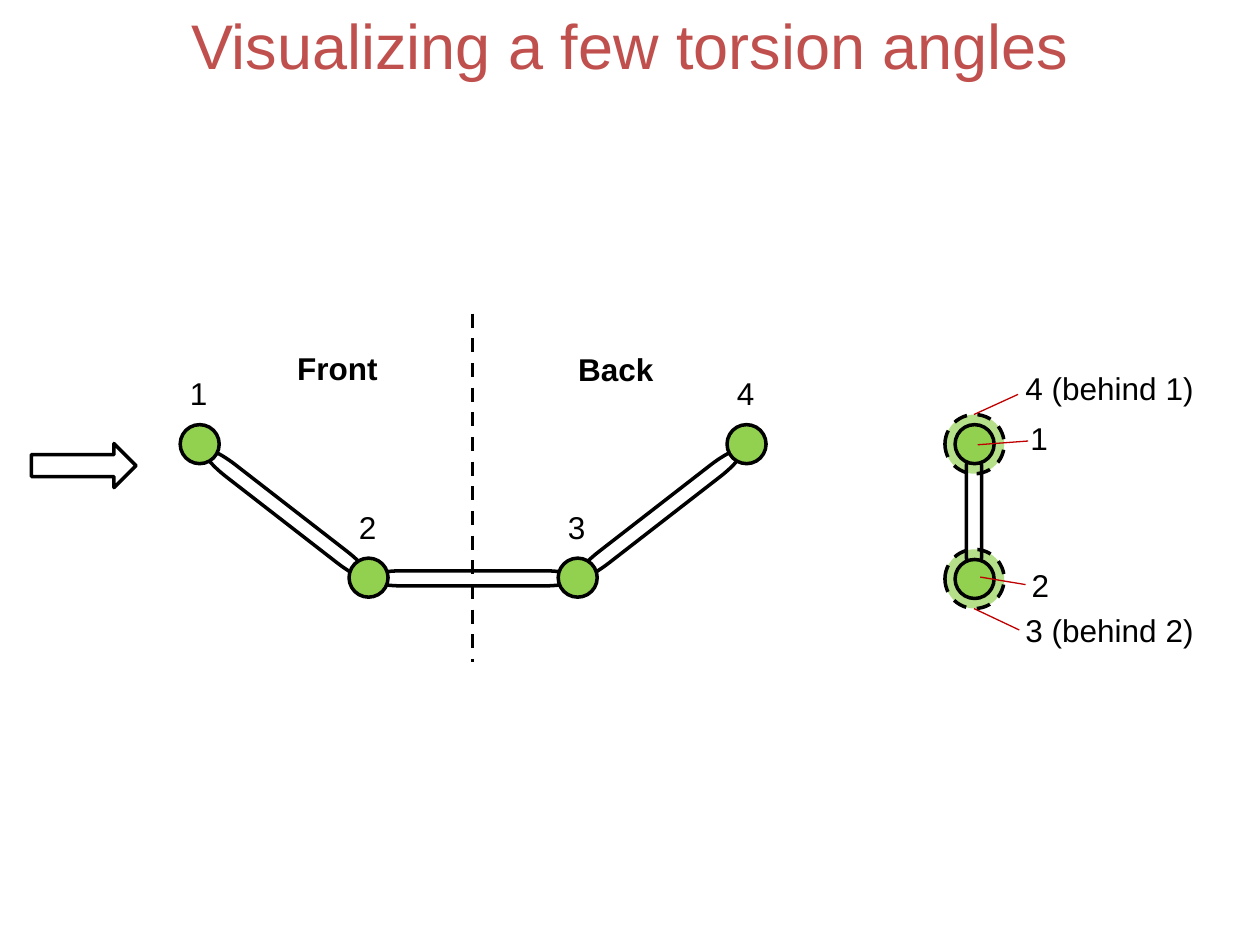
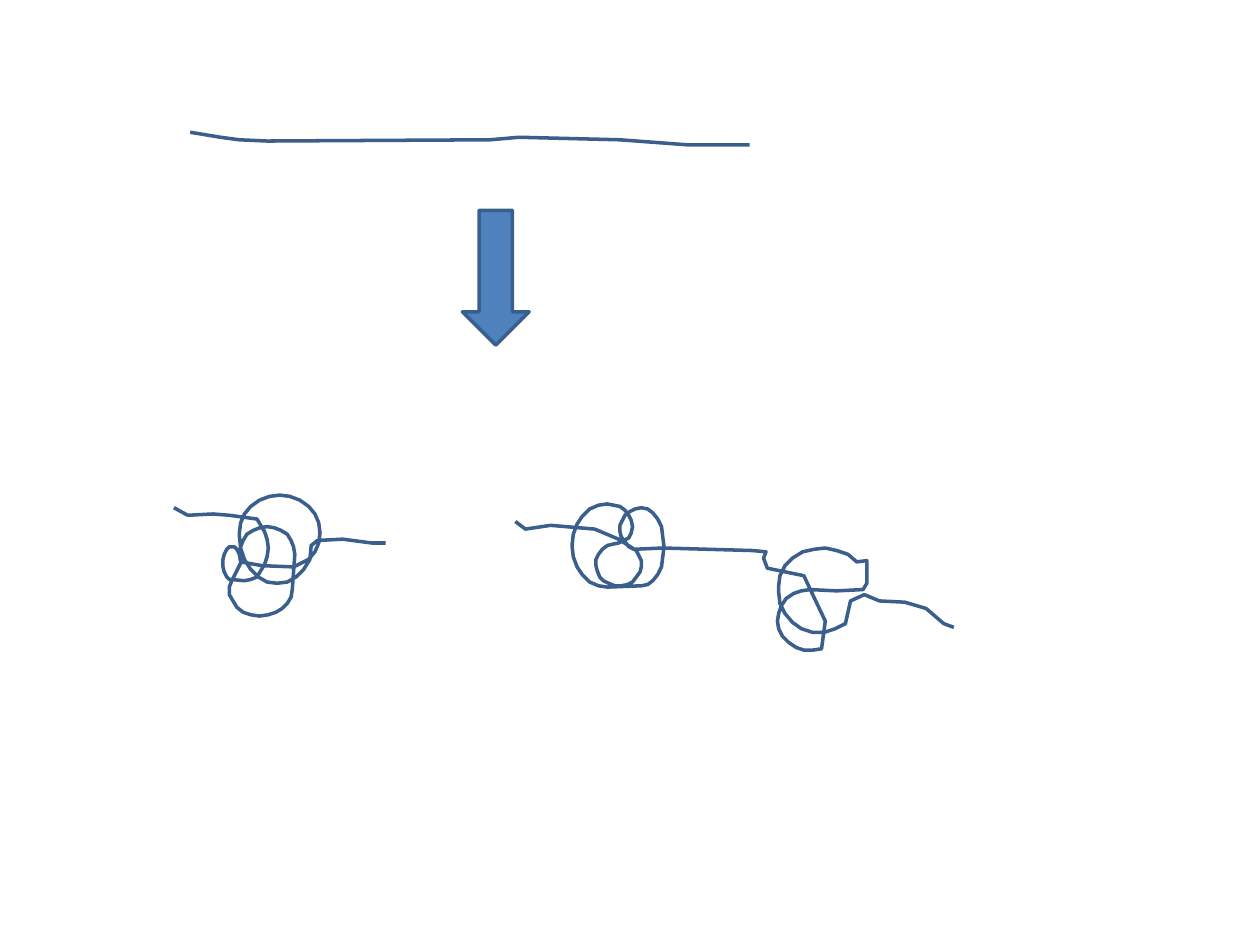
"""Build two slides: torsion angles seen from the side and end-on, and a folding chain."""
from math import cos, radians, sin
from lxml import etree
from pptx import Presentation
from pptx.dml.color import RGBColor
from pptx.enum.dml import MSO_LINE
from pptx.enum.shapes import MSO_CONNECTOR, MSO_SHAPE
from pptx.enum.text import MSO_ANCHOR, MSO_AUTO_SIZE, PP_ALIGN
from pptx.oxml.ns import qn
from pptx.util import Pt

SCALE = 9144
DASH = MSO_LINE.DASH
ROD, BALL = MSO_SHAPE.FLOWCHART_TERMINATOR, MSO_SHAPE.OVAL
RIGHT, DOWN = MSO_SHAPE.RIGHT_ARROW, MSO_SHAPE.DOWN_ARROW
STRAIGHT = MSO_CONNECTOR.STRAIGHT
MIDDLE, CENTER = MSO_ANCHOR.MIDDLE, PP_ALIGN.CENTER
FIT = MSO_AUTO_SIZE.SHAPE_TO_FIT_TEXT
TITLE_ONLY, BLANK = 5, 6

FONT = "Arial"
BLACK, RED, ROSE = "000000", "C00000", "C0504D"
GREEN, PALE = "92D050", "B6DF89"
BLUE, NAVY = "4F81BD", "3A5F8C"

HIGH, LOW = 352, 458
OUTER, INNER = 217, 83
FOLD, STEP = 37.8, 15


def rgb(color):
    return RGBColor.from_string(color)


def px(*sizes):
    return [size * SCALE for size in sizes]


def arc(x, y, wide, high, start, sweep):
    count = abs(sweep) // STEP
    turns = [radians(start + sweep * i / count) for i in range(count + 1)]
    return [(round(x + wide * cos(t)), round(y + high * sin(t))) for t in turns]


class Deck:
    def __init__(self):
        self.show = Presentation()
        self.show.slide_width, self.show.slide_height = px(1000, 750)
        self.slide = None

    def page(self, layout):
        self.slide = self.show.slides.add_slide(self.show.slide_layouts[layout])

    def font(self, part, size, color, bold=False):
        font = part.font
        font.name, font.size, font.bold = FONT, Pt(size), bold
        font.color.rgb = rgb(color)

    def title(self, text):
        box = self.slide.shapes.title
        box.left, box.top, box.width, box.height = px(50, 0, 900, 83)
        frame = box.text_frame
        frame.text, frame.vertical_anchor = text, MIDDLE
        frame.margin_top, frame.margin_bottom = px(5, 17)
        part = frame.paragraphs[0]
        part.alignment = CENTER
        self.font(part, 36, ROSE)

    def label(self, text, x, y, w=34, bold=False):
        place = px(x - w // 2, y - 20, w, 40)
        frame = self.slide.shapes.add_textbox(*place).text_frame
        frame.word_wrap, frame.auto_size = False, FIT
        frame.text = text
        self.font(frame.paragraphs[0], 18, BLACK, bold)

    def stroke(self, line, color, width=2, dash=None):
        line.color.rgb, line.width = rgb(color), Pt(width)
        if dash:
            line.dash_style = dash

    def paint(self, shape, fill, color, dash=None):
        shape.shadow.inherit = False
        if fill:
            shape.fill.solid()
            shape.fill.fore_color.rgb = rgb(fill)
        else:
            shape.fill.background()
        self.stroke(shape.line, color, dash=dash)

    def shape(self, kind, x, y, w, h, fill=None, color=BLACK, dash=None, turn=0):
        place = px(x - w // 2, y - h // 2, w, h)
        shape = self.slide.shapes.add_shape(kind, *place)
        shape.rotation = turn
        self.paint(shape, fill, color, dash)

    def atom(self, x, y, size=31, fill=GREEN, dash=None):
        self.shape(BALL, x, y, size, size, fill, dash=dash)

    def bond(self, x, y, size=165, turn=0):
        self.shape(ROD, x, y, size, 12, turn=turn)

    def line(self, start, end, color, width, dash=None):
        line = self.slide.shapes.add_connector(STRAIGHT, *px(*start, *end))
        etree.SubElement(line._element.spPr, qn("a:effectLst"))
        self.stroke(line.line, color, width, dash)

    def curve(self, *parts):
        points = sum(parts, [])
        path = self.slide.shapes.build_freeform(*points[0], scale=SCALE)
        path.add_line_segments(points[1:], close=False)
        self.paint(path.convert_to_shape(), None, NAVY)


def side(deck):
    mid = 375
    halves = (-1, "1", "2"), (1, "4", "3")
    for sign, _, _ in halves:
        deck.bond(mid + sign * 148, 408, turn=-sign * FOLD)
    deck.bond(mid, LOW + 1)
    for sign, outer, inner in halves:
        for name, reach, y in (outer, OUTER, HIGH), (inner, INNER, LOW):
            x = mid + sign * reach
            deck.atom(x, y)
            deck.label(name, x, y - 40)
    deck.line((mid, 249), (mid, 525), BLACK, 2, DASH)
    deck.label("Front", 268, 292, 85, True)
    deck.label("Back", 489, 293, 80, True)
    deck.shape(RIGHT, 66, 369, 83, 35)


def end(deck):
    x = 773
    levels = HIGH, LOW + 1
    for y in levels:
        deck.atom(x, y, 47, PALE, DASH)
    deck.bond(x, 406, 106, 90)
    for y in levels:
        deck.atom(x, y)
    notes = [("1", (825, 348), 34, (776, 353), (816, 350)),
             ("4 (behind 1)", (881, 308), 155, (773, 329), (808, 313)),
             ("2", (826, 464), 34, (778, 458), (814, 464)),
             ("3 (behind 2)", (881, 500), 155, (773, 483), (809, 500))]
    for text, place, width, tip, foot in notes:
        deck.line(tip, foot, RED, 0.75)
        deck.label(text, *place, width)


def thread(deck):
    deck.curve([(151, 105), (175, 109), (190, 111), (212, 112), (389, 111),
                (412, 109), (492, 111), (546, 115), (595, 115)])


def knot(deck):
    lead = [(138, 403), (149, 409), (169, 408), (182, 409)]
    drop = arc(194, 435, 19, 26, -60, 150)
    curl = arc(184, 447, 7, 13, 90, 270)
    bowl = arc(207, 468, 25, 21, 200, -200)
    dome = arc(212, 440, 22, 22, 0, -195)
    cross = [(208, 449), (233, 450)]
    crown = arc(222, 423, 32, 30, 45, -225)
    base = arc(220, 425, 30, 38, 180, -150)
    tail = [(247, 433), (252, 429), (272, 428), (295, 431), (306, 431)]
    deck.curve(lead, drop, curl, bowl, dome, cross, crown, base, tail)


def pair(deck):
    lead = [(409, 414), (417, 420), (437, 417), (472, 420), (491, 428)]
    eye = arc(491, 448, 18, 17, -40, 310)
    cap = arc(482, 418, 20, 18, 30, -120)
    left = arc(482, 433, 28, 33, -90, -180)
    right = arc(509, 434, 18, 31, 90, -180)
    hook = arc(509, 420, 17, 17, -90, -160)
    link = [(526, 435), (597, 437), (608, 438), (606, 443), (609, 451),
            (638, 457), (645, 472), (655, 493)]
    ring = arc(643, 492, 26, 24, 70, 200)
    step = [(664, 469), (685, 468), (688, 463), (688, 445)]
    crown = arc(653, 465, 35, 30, -40, -140)
    base = arc(650, 470, 32, 32, 180, -130)
    tail = [(675, 477), (686, 472), (698, 477), (718, 478), (735, 483),
            (749, 495), (757, 498)]
    deck.curve(lead, eye, cap, left, right, hook, link, ring, step, crown, base, tail)


def main():
    deck = Deck()
    deck.page(TITLE_ONLY)
    deck.title("Visualizing a few torsion angles")
    side(deck)
    end(deck)
    deck.page(BLANK)
    thread(deck)
    deck.shape(DOWN, 393, 220, 53, 107, BLUE, NAVY)
    knot(deck)
    pair(deck)
    deck.show.save("out.pptx")


if __name__ == "__main__":
    main()
